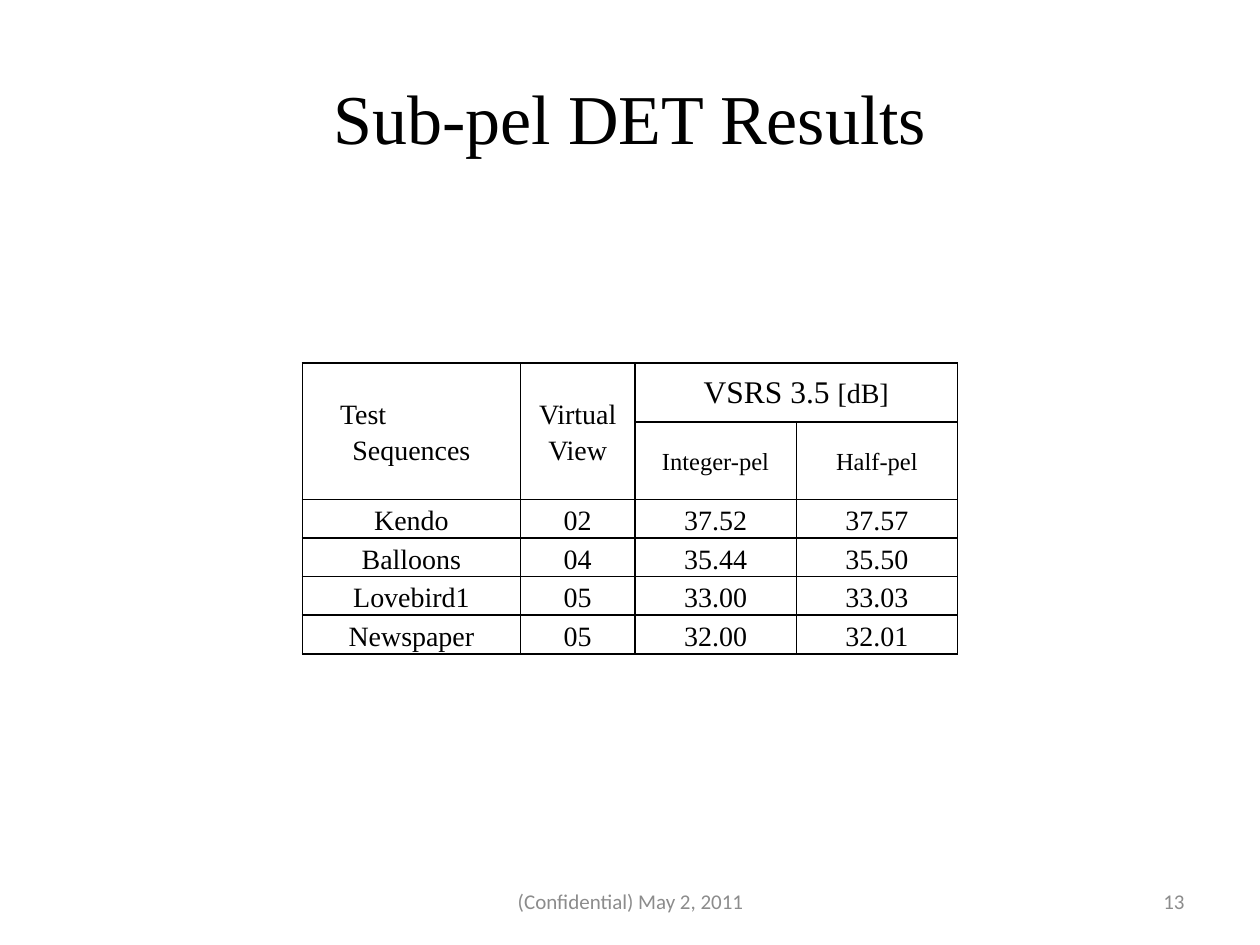
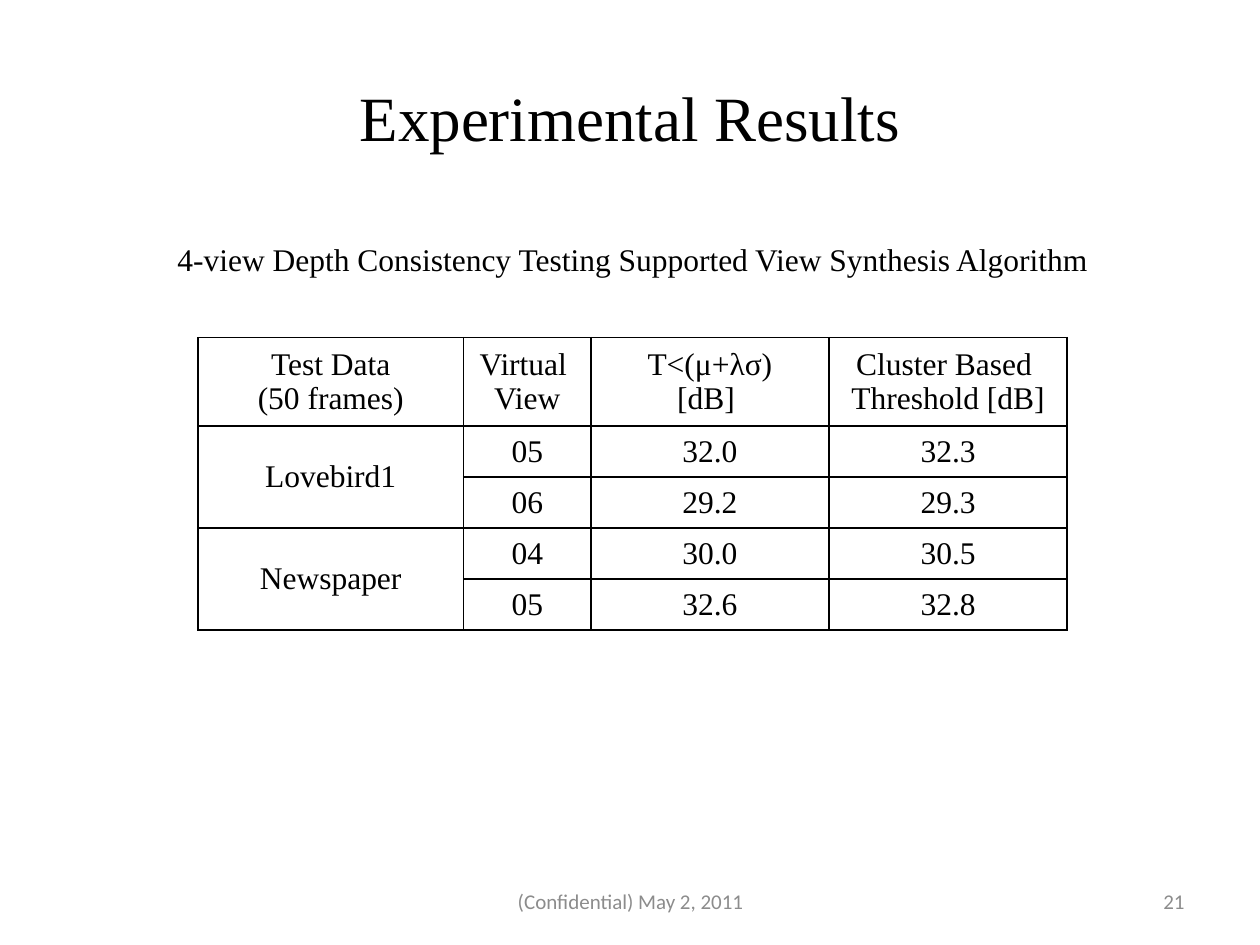
from lxml import etree
from pptx import Presentation
from pptx.dml.color import RGBColor
from pptx.enum.text import MSO_ANCHOR, PP_ALIGN
from pptx.oxml.ns import qn
from pptx.util import Inches, Pt

LEFT, CENTER, RIGHT = PP_ALIGN.LEFT, PP_ALIGN.CENTER, PP_ALIGN.RIGHT
TOP, MIDDLE = MSO_ANCHOR.TOP, MSO_ANCHOR.MIDDLE

WIDTH, HEIGHT = Inches(10), Inches(7.5)
COLUMNS, ROWS = 100, 75
SERIF, SANS = "Times New Roman", "Calibri"
BLACK, WHITE, GRAY = "000000", "FFFFFF", "8C8C8C"
BODY = {"font": SERIF, "color": BLACK, "align": CENTER, "spacing": 1, "indent": 0}
FOOTER = {**BODY, "font": SANS, "color": GRAY, "size": 12}


def color(value):
    return RGBColor.from_string(value)


def column(count):
    return round(WIDTH * count / COLUMNS)


def row(count):
    return round(HEIGHT * count / ROWS)


def set_all(target, values):
    for name, value in values.items():
        setattr(target, name, value)


class Deck:
    def __init__(self):
        self.presentation = Presentation()
        set_all(self.presentation, {"slide_width": WIDTH, "slide_height": HEIGHT})
        self.slide = None

    def add_slide(self, title, title_size, number):
        self.slide = self.presentation.slides.add_slide(self.presentation.slide_layouts[6])
        self.add_text(title, (5, 3, 90, 12.5), {**BODY, "size": title_size})
        self.add_text("(Confidential) May 2, 2011", (34.2, 69.5, 31.7, 4), FOOTER)
        self.add_text(number, (71.7, 69.5, 23.3, 4), {**FOOTER, "align": RIGHT})

    def add_run(self, paragraph, text, style, size):
        run = paragraph.add_run()
        run.text = text
        set_all(run.font, {"name": style["font"], "size": Pt(size)})
        run.font.color.rgb = color(style["color"])

    def fill_frame(self, frame, content, style):
        paragraphs = [{"text": content}] if isinstance(content, str) else content
        for index, overrides in enumerate(paragraphs):
            look = {**style, **overrides}
            paragraph = frame.add_paragraph() if index else frame.paragraphs[0]
            set_all(paragraph, {"alignment": look["align"], "line_spacing": look["spacing"]})
            if look["indent"]:
                properties = paragraph._p.get_or_add_pPr()
                properties.set("marL", str(column(look["indent"])))
            self.add_run(paragraph, look["text"], look, look["size"])
            if "unit" in look:
                self.add_run(paragraph, look["unit"], look, look["unit_size"])

    def add_text(self, content, place, style, wrap=True, anchor=MIDDLE):
        left, top, width, height = place
        shape = self.slide.shapes.add_textbox(column(left), row(top), column(width), row(height))
        set_all(shape.text_frame, {"word_wrap": wrap, "vertical_anchor": anchor})
        self.fill_frame(shape.text_frame, content, style)

    def add_borders(self, cell):
        properties = cell._tc.get_or_add_tcPr()
        for index, side in enumerate(("lnL", "lnR", "lnT", "lnB")):
            line = etree.Element(qn(f"a:{side}"), w=str(Pt(1)))
            fill = etree.SubElement(line, qn("a:solidFill"))
            etree.SubElement(fill, qn("a:srgbClr"), val=BLACK)
            properties.insert(index, line)

    def add_table(self, origin, widths, heights, contents, merges, style, margins):
        shape = self.slide.shapes.add_table(
            len(heights), len(widths), column(origin[0]), row(origin[1]),
            column(sum(widths)), row(sum(heights)))
        table = shape.table
        set_all(table, {"first_row": False, "horz_banding": False})
        for table_column, width in zip(table.columns, widths):
            table_column.width = column(width)
        for table_row, height in zip(table.rows, heights):
            table_row.height = row(height)
        cell_format = {
            "vertical_anchor": MIDDLE,
            "margin_left": column(margins[0]), "margin_right": column(margins[0]),
            "margin_top": row(margins[1]), "margin_bottom": row(margins[1]),
        }
        for row_index, values in enumerate(contents):
            for column_index, content in enumerate(values):
                cell = table.cell(row_index, column_index)
                set_all(cell, cell_format)
                cell.fill.solid()
                cell.fill.fore_color.rgb = color(WHITE)
                self.add_borders(cell)
                if content:
                    self.fill_frame(cell.text_frame, content, style)
        for first, last in merges:
            table.cell(*first).merge(table.cell(*last))


def lines(*texts):
    return [{"text": text} for text in texts]


def add_sub_pel_slide(deck):
    deck.add_slide("Sub-pel DET Results", 40, "13")
    sequences = [{"text": "Test", "align": LEFT, "indent": 2.3}, {"text": "Sequences"}]
    synthesis = [{"text": "VSRS 3.5 ", "size": 18, "spacing": 1, "unit": "[dB]", "unit_size": 16}]
    contents = [
        [sequences, "Virtual View", synthesis, None],
        [None, None, [{"text": "Integer-pel", "size": 14}], [{"text": "Half-pel", "size": 14}]],
        ["Kendo", "02", "37.52", "37.57"],
        ["Balloons", "04", "35.44", "35.50"],
        ["Lovebird1", "05", "33.00", "33.03"],
        ["Newspaper", "05", "32.00", "32.01"],
    ]
    deck.add_table(
        (24, 28.8), [17.3, 9.1, 12.8, 12.8], [4.7, 5.7] + [3.07] * 4, contents,
        [((0, 0), (1, 0)), ((0, 1), (1, 1)), ((0, 2), (0, 3))],
        {**BODY, "size": 16, "spacing": 1.15}, (0.7, 0))


def add_experiment_slide(deck):
    deck.add_slide("Experimental Results", 36, "21")
    style = {**BODY, "size": 18}
    contents = [
        [lines("Test Data", "(50 frames)"), lines("Virtual ", "View"),
         lines("T<(μ+λσ)", "[dB] "), lines("Cluster Based ", "Threshold [dB]")],
        ["Lovebird1", "05", "32.0", "32.3"],
        [None, "06", "29.2", "29.3"],
        ["Newspaper", "04", "30.0", "30.5"],
        [None, "05", "32.6", "32.8"],
    ]
    deck.add_table(
        (15.7, 26.8), [21.1, 10.1, 18.9, 18.9], [7] + [4.05] * 4, contents,
        [((1, 0), (2, 0)), ((3, 0), (4, 0))], style, (1, 0.5))
    deck.add_text(
        "4-view Depth Consistency Testing Supported View Synthesis Algorithm",
        (13.1, 18.6, 74.5, 4), {**style, "align": LEFT}, wrap=False, anchor=TOP)


def main():
    deck = Deck()
    add_sub_pel_slide(deck)
    add_experiment_slide(deck)
    deck.presentation.save("out.pptx")


if __name__ == "__main__":
    main()
